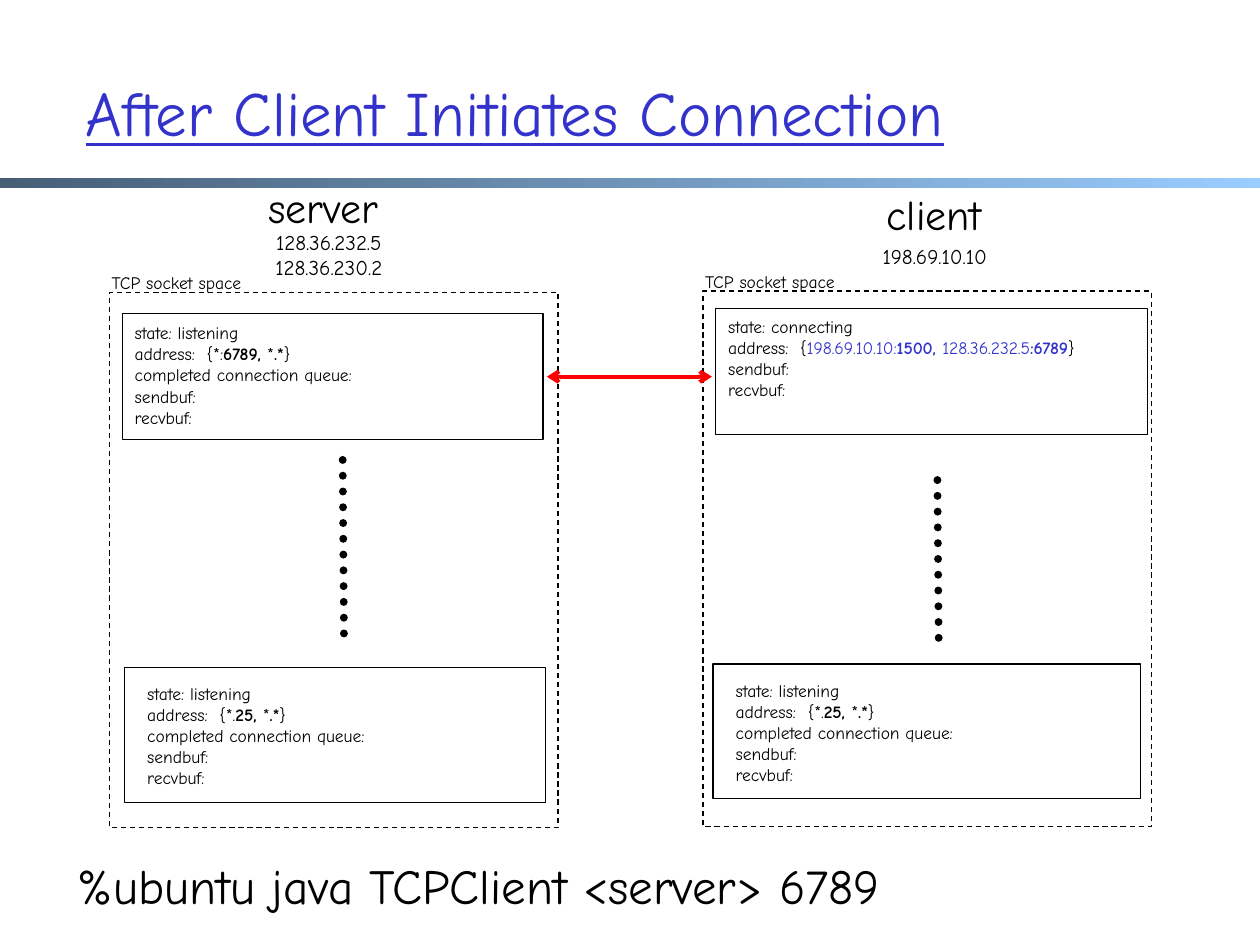
from lxml import etree
from pptx import Presentation
from pptx.dml.color import RGBColor
from pptx.enum.dml import MSO_LINE
from pptx.enum.shapes import MSO_CONNECTOR, MSO_SHAPE
from pptx.enum.text import MSO_ANCHOR, MSO_AUTO_SIZE, PP_ALIGN
from pptx.oxml.ns import qn
from pptx.util import Inches, Pt

RECT, STRAIGHT = MSO_SHAPE.RECTANGLE, MSO_CONNECTOR.STRAIGHT
DASH, ROUND_DOT = MSO_LINE.DASH, MSO_LINE.ROUND_DOT
TOP, MIDDLE = MSO_ANCHOR.TOP, MSO_ANCHOR.MIDDLE
LEFT, CENTER = PP_ALIGN.LEFT, PP_ALIGN.CENTER
TITLE_ONLY = 5
FONT = "Comic Neue"
COLORS = {"ink": "000000", "blue": "3333CC", "link": "FF0000",
          "bar_dark": "475E76", "bar_light": "99CCFF"}

# The slide is a grid of 100 columns by 75 rows; all lengths are in cells.
COLUMNS, ROWS = 100, 75
SLIDE_W, SLIDE_H = Inches(10), Inches(7.5)
HOST_W, HOST_H = 35.6, 42.5


def cells(x, y):
    return round(x * SLIDE_W / COLUMNS), round(y * SLIDE_H / ROWS)


def place(box):
    left, top, width, height = box
    return *cells(left, top), *cells(width, height)


def inside(box, left, top, width, height):
    return box[0] + left, box[1] + top, width, height


def color(name):
    return RGBColor.from_string(COLORS[name])


def write(frame, paragraphs, size=10, ink="ink", align=LEFT, anchor=TOP,
          wrap=False, underline=None):
    """Each paragraph is a string or a list of (text, bold, color) runs."""
    frame.auto_size = MSO_AUTO_SIZE.NONE
    frame.word_wrap = wrap
    frame.vertical_anchor = anchor
    for index, content in enumerate(paragraphs):
        paragraph = frame.add_paragraph() if index else frame.paragraphs[0]
        paragraph.alignment = align
        runs = [(content, False, ink)] if isinstance(content, str) else content
        for text, bold, run_ink in runs:
            run = paragraph.add_run()
            run.text = text
            run.font.name, run.font.size = FONT, Pt(size)
            run.font.bold, run.font.underline = bold, underline
            run.font.color.rgb = color(run_ink)


def add_text(slide, box, paragraphs, **form):
    write(slide.shapes.add_textbox(*place(box)).text_frame, paragraphs, **form)


def add_frame(slide, box, dash=None):
    frame = slide.shapes.add_shape(RECT, *place(box))
    frame.shadow.inherit = False
    frame.fill.background()
    frame.line.color.rgb = color("ink")
    frame.line.width = Pt(0.75)
    if dash:
        frame.line.dash_style = dash


def add_line(slide, start, end, ink, width, dash=None, arrows=False):
    line = slide.shapes.add_connector(STRAIGHT, *cells(*start), *cells(*end))
    line.line.color.rgb = color(ink)
    line.line.width = Pt(width)
    if dash:
        line.line.dash_style = dash
    outline = line.line._get_or_add_ln()
    if dash == ROUND_DOT:
        outline.set("cap", "rnd")
    if arrows:
        for end_tag in ("a:headEnd", "a:tailEnd"):
            etree.SubElement(outline, qn(end_tag), type="arrow")
    etree.SubElement(line._element.spPr, qn("a:effectLst"))


def address(*runs):
    return [("address:  {", False, "ink"), *runs, ("}", False, "ink")]


def listening(separator, port):
    return ["state: listening",
            address(("*" + separator, False, "ink"), (port + ", ", True, "ink"),
                    ("*", False, "ink"), (".*", True, "ink")),
            "completed connection queue:", "sendbuf:", "recvbuf:"]


CONNECTING = ["state: connecting",
              address(("198.69.10.10:", False, "blue"), ("1500, ", True, "blue"),
                      ("128.36.232.5", False, "blue"), (":6789", True, "blue")),
              "sendbuf:", "recvbuf:"]

# Parts of a host are placed from the top left of its socket space.
SERVER = {
    "name": ("server", (10.9, -9.3, 12.1, 5)),
    "addresses": (["128.36.232.5", "128.36.230.2"], (11.3, -5.5, 12.2, 5)),
    "sockets": [(listening(":", "6789"), (1, 1.7, 33.4, 10), (0, 0.2)),
                (listening(".", "25"), (1.2, 29.8, 33.4, 10.7), (0.8, 0.7))],
    "dots": ((18.5, 13.3), (18.6, 27.2)),
}
CLIENT = {
    "name": ("client", (13, -8.6, 10.7, 5)),
    "addresses": (["198.69.10.10"], (12.6, -4.3, 11.6, 3)),
    "sockets": [(CONNECTING, (1, 1.4, 34.3, 10), (0, 0.1)),
                (listening(".", "25"), (0.8, 29.6, 33.9, 10.7), (0.8, 0.8))],
    "dots": ((18.6, 15), (18.7, 27.7)),
}


def add_header(slide, box):
    # Gradient bar along the bottom of the header
    bar = slide.shapes.add_shape(RECT, *place(inside(box, 0, 14.1, COLUMNS, 0.8)))
    bar.shadow.inherit = False
    bar.line.fill.background()
    bar.fill.gradient()
    bar.fill.gradient_angle = 0
    for stop, ink in zip(bar.fill.gradient_stops, ("bar_dark", "bar_light")):
        stop.color.rgb = color(ink)
    # Title
    title = slide.shapes.title
    title.left, title.top, title.width, title.height = place(
        inside(box, 5.8, 2.6, 88.1, 12.5))
    write(title.text_frame, ["After Client Initiates Connection"], size=36,
          ink="blue", anchor=MIDDLE, wrap=True, underline=True)


def add_socket(slide, box, state, text_offset):
    add_frame(slide, box)
    add_text(slide, inside(box, *text_offset, 20.5, 9.3), state)


def add_host(slide, box, host):
    # Name and addresses above the socket space
    name, name_box = host["name"]
    add_text(slide, inside(box, *name_box), [name], size=24, align=CENTER,
             anchor=MIDDLE)
    addresses, address_box = host["addresses"]
    add_text(slide, inside(box, *address_box), addresses, size=12, align=CENTER)
    # Socket space with its sockets
    add_frame(slide, box, dash=DASH)
    add_text(slide, inside(box, -1.3, -2.1, 13.2, 2.7), ["TCP socket space"],
             align=CENTER)
    for state, socket_box, text_offset in host["sockets"]:
        add_socket(slide, inside(box, *socket_box), state, text_offset)
    # Dots for the sockets left out
    start, end = [(box[0] + x, box[1] + y) for x, y in host["dots"]]
    add_line(slide, start, end, "ink", 4.5, dash=ROUND_DOT)


def main():
    deck = Presentation()
    deck.slide_width, deck.slide_height = SLIDE_W, SLIDE_H
    slide = deck.slides.add_slide(deck.slide_layouts[TITLE_ONLY])
    add_header(slide, (0, 0, COLUMNS, 15))
    add_host(slide, (8.7, 23.2, HOST_W, HOST_H), SERVER)
    add_host(slide, (55.8, 23.1, HOST_W, HOST_H), CLIENT)
    # Connection between the two hosts
    add_line(slide, (56.5, 29.9), (43.4, 29.9), "link", 2.25, arrows=True)
    # Command that starts the client
    add_text(slide, (5.2, 67.4, 85.3, 5.7),
             ["%ubuntu java TCPClient <server> 6789"], size=28, wrap=True)
    deck.save("out.pptx")


if __name__ == "__main__":
    main()
